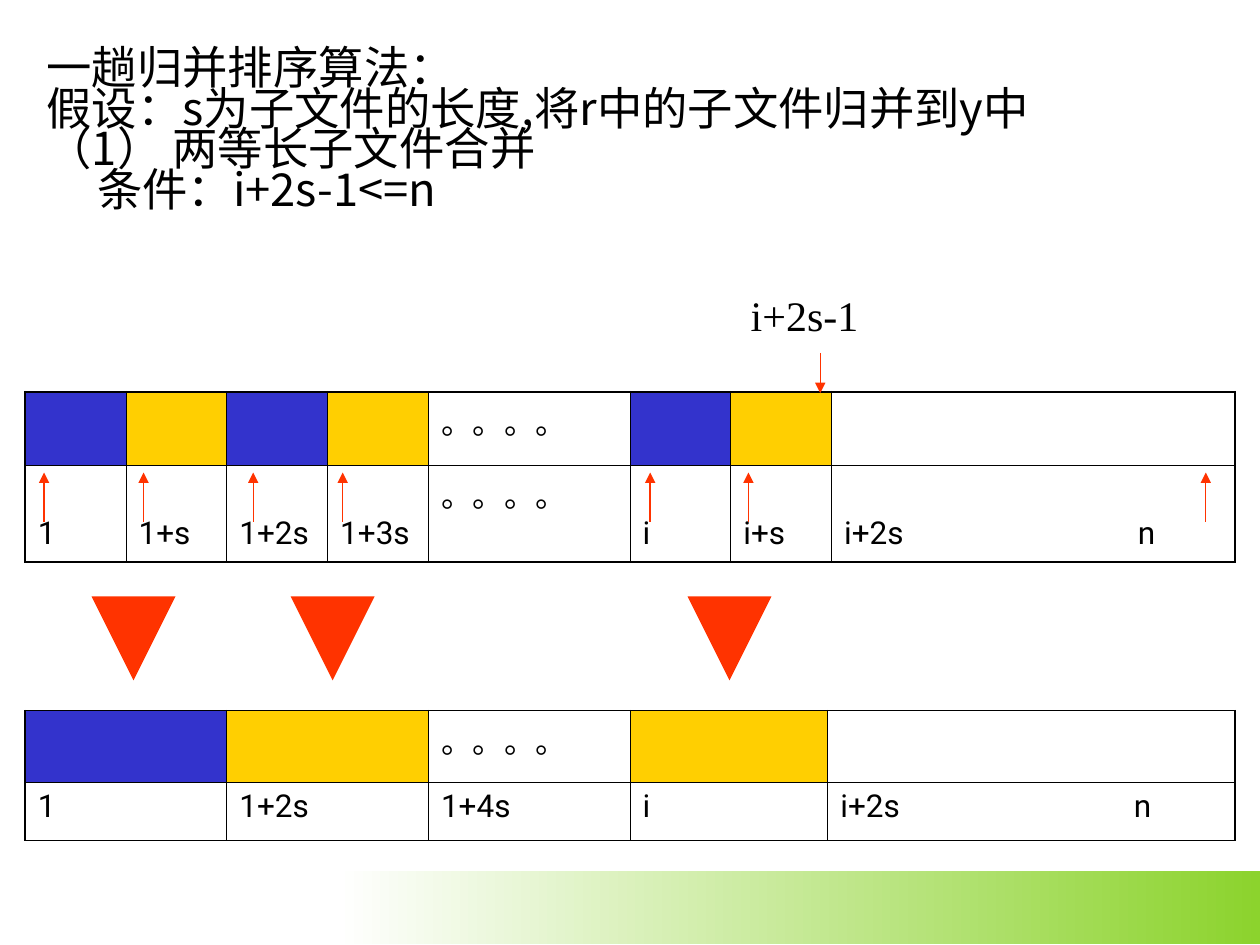
from dataclasses import dataclass

from lxml.etree import SubElement
from pptx import Presentation
from pptx.dml.color import RGBColor
from pptx.enum.shapes import MSO_CONNECTOR, MSO_SHAPE
from pptx.enum.text import MSO_ANCHOR, MSO_AUTO_SIZE
from pptx.oxml import parse_xml
from pptx.oxml.ns import nsdecls, qn
from pptx.util import Inches, Pt


@dataclass(frozen=True)
class Theme:
    black: str = "000000"
    white: str = "FFFFFF"
    blue: str = "3333CC"
    gold: str = "FFCF01"
    red: str = "FF3300"
    green: str = "8CD32D"
    heading_font: str = "Noto Sans CJK SC"
    cell_font: str = "Roboto"
    label_font: str = "Times New Roman"
    heading_size: float = 25.9
    cell_size: float = 18
    label_size: float = 24
    inner_border: float = 0.45
    outer_border: float = 1.08
    pointer: float = 0.75
    merge_arrow: float = 16


@dataclass(frozen=True)
class Cell:
    text: str = ""
    fill: str = ""
    top: float = 0.05


@dataclass(frozen=True)
class FileTable:
    top: float
    cols: list[float]
    rows: list[float]
    cells: list[list[Cell]]


@dataclass(frozen=True)
class Arrow:
    x: float
    start: float
    end: float
    width: float


T = Theme()
LEFT = 0.2
LABEL_TOP = 0.4
N_TAB = 2.33
DOTS = Cell("。。。。")
BLUE = Cell(fill=T.blue)
GOLD = Cell(fill=T.gold)

HEADING = [
    "一趟归并排序算法：",
    "假设：s为子文件的长度,将r中的子文件归并到y中",
    "（1） 两等长子文件合并",
    "条件：i+2s-1<=n",
]
BEFORE = FileTable(
    3.11,
    [0.8] * 4 + [1.6, 0.8, 0.8, 3.2],
    [0.58, 0.77],
    [
        [BLUE, GOLD, BLUE, GOLD, DOTS, BLUE, GOLD, Cell()],
        [Cell(t, top=LABEL_TOP) for t in ("1", "1+s", "1+2s", "1+3s")]
        + [DOTS]
        + [Cell(t, top=LABEL_TOP) for t in ("i", "i+s", "i+2s\tn")],
    ],
)
AFTER = FileTable(
    5.64,
    [1.6, 1.6, 1.6, 1.57, 3.23],
    [0.57, 0.46],
    [
        [BLUE, GOLD, DOTS, GOLD, Cell()],
        [Cell(t) for t in ("1", "1+2s", "1+4s", "i", "i+2s\tn")],
    ],
)
ARROWS = (
    [Arrow(x, 4.14, 3.75, T.pointer) for x in (0.35, 1.14, 2.01, 2.72, 5.16, 5.94, 9.57)]
    + [Arrow(6.51, 2.8, 3.12, T.pointer)]
    + [Arrow(x, 4.85, 5.4, T.merge_arrow) for x in (1.06, 2.64, 5.79)]
)


def format_runs(p, font: str, size: float) -> None:
    """Give every run of a paragraph its font, size and black colour."""
    for r in p.runs:
        r.font.name = font
        r.font.size = Pt(size)
        r.font.color.rgb = RGBColor.from_string(T.black)


def add_band(s) -> None:
    """Draw the fading green band at the foot of the slide."""
    sp = s.shapes.add_shape(
        MSO_SHAPE.RECTANGLE, Inches(2.67), Inches(6.91), Inches(7.33), Inches(0.58)
    )
    sp.shadow.inherit = False
    sp.line.fill.background()
    sp.fill.gradient()
    sp.fill.gradient_angle = 0
    for stop, color in zip(sp.fill.gradient_stops, (T.white, T.green)):
        stop.color.rgb = RGBColor.from_string(color)


def fill_heading(s) -> None:
    """Write the algorithm's assumptions in the body placeholder."""
    title = s.shapes.title
    title.element.getparent().remove(title.element)
    sp = s.placeholders[1]
    sp.left, sp.top, sp.width, sp.height = (Inches(v) for v in (0.27, 0.36, 9.29, 1.73))
    tf = sp.text_frame
    tf.text = "\n".join(HEADING)
    tf.auto_size = MSO_AUTO_SIZE.NONE
    tf.vertical_anchor = MSO_ANCHOR.TOP
    for p in tf.paragraphs:
        p.line_spacing = 0.75
        p.space_before = Pt(0)
        pPr = p._p.get_or_add_pPr()
        pPr.set("marL", str(Inches(0.38)))
        pPr.set("indent", str(Inches(-0.38)))
        SubElement(pPr, qn("a:buNone"))
        format_runs(p, T.heading_font, T.heading_size)
        for r in p.runs:
            SubElement(r._r.get_or_add_rPr(), qn("a:ea")).set("typeface", T.heading_font)
    pPr.set("marL", str(Inches(0.4)))
    pPr.set("indent", "0")


def set_borders(cell, outer: dict[str, bool]) -> None:
    """Line the four sides of a cell, heavier along the table's edge."""
    tcPr = cell._tc.get_or_add_tcPr()
    for i, (side, is_outer) in enumerate(outer.items()):
        width = Pt(T.outer_border if is_outer else T.inner_border)
        tcPr.insert(i, parse_xml(
            f'<a:ln{side} {nsdecls("a")} w="{width}"><a:solidFill>'
            f'<a:srgbClr val="{T.black}"/></a:solidFill></a:ln{side}>'
        ))


def fill_cell(cell, data: Cell) -> None:
    """Set the fill, margin and text of one table cell."""
    if data.fill:
        cell.fill.solid()
        cell.fill.fore_color.rgb = RGBColor.from_string(data.fill)
    else:
        cell.fill.background()
    cell.margin_top = Inches(data.top)
    cell.text_frame.text = data.text
    p = cell.text_frame.paragraphs[0]
    format_runs(p, T.cell_font, T.cell_size)
    if "\t" in data.text:
        tabs = SubElement(p._p.get_or_add_pPr(), qn("a:tabLst"))
        SubElement(tabs, qn("a:tab"), pos=str(Inches(N_TAB)), algn="l")


def add_file_table(s, data: FileTable) -> None:
    """Draw one file as a row of blocks above a row of positions."""
    n_rows, n_cols = len(data.rows), len(data.cols)
    tbl = s.shapes.add_table(
        n_rows, n_cols, Inches(LEFT), Inches(data.top),
        Inches(sum(data.cols)), Inches(sum(data.rows)),
    ).table
    tbl.first_row = tbl.horz_banding = False
    for col, width in zip(tbl.columns, data.cols):
        col.width = Inches(width)
    for i, height in enumerate(data.rows):
        tbl.rows[i].height = Inches(height)
        for j, item in enumerate(data.cells[i]):
            cell = tbl.cell(i, j)
            fill_cell(cell, item)
            set_borders(cell, {"L": j == 0, "R": j == n_cols - 1,
                               "T": i == 0, "B": i == n_rows - 1})


def add_arrow(s, a: Arrow) -> None:
    """Draw a vertical red arrow."""
    c = s.shapes.add_connector(
        MSO_CONNECTOR.STRAIGHT, Inches(a.x), Inches(a.start), Inches(a.x), Inches(a.end)
    )
    c.line.color.rgb = RGBColor.from_string(T.red)
    c.line.width = Pt(a.width)
    SubElement(c.line._get_or_add_ln(), qn("a:tailEnd"), type="triangle")
    SubElement(c._element.spPr, qn("a:effectLst"))


def add_end_label(s) -> None:
    """Label the end of the second subfile."""
    tf = s.shapes.add_textbox(Inches(5.86), Inches(2.25), Inches(1.18), Inches(0.5)).text_frame
    tf.word_wrap = True
    tf.text = "i+2s-1"
    format_runs(tf.paragraphs[0], T.label_font, T.label_size)


def main() -> None:
    """Build and save the slide."""
    prs = Presentation()
    prs.slide_width, prs.slide_height = Inches(10), Inches(7.5)
    s = prs.slides.add_slide(prs.slide_layouts[1])
    add_band(s)
    fill_heading(s)
    for table in (BEFORE, AFTER):
        add_file_table(s, table)
    add_end_label(s)
    for arrow in ARROWS:
        add_arrow(s, arrow)
    prs.save("out.pptx")


if __name__ == "__main__":
    main()
